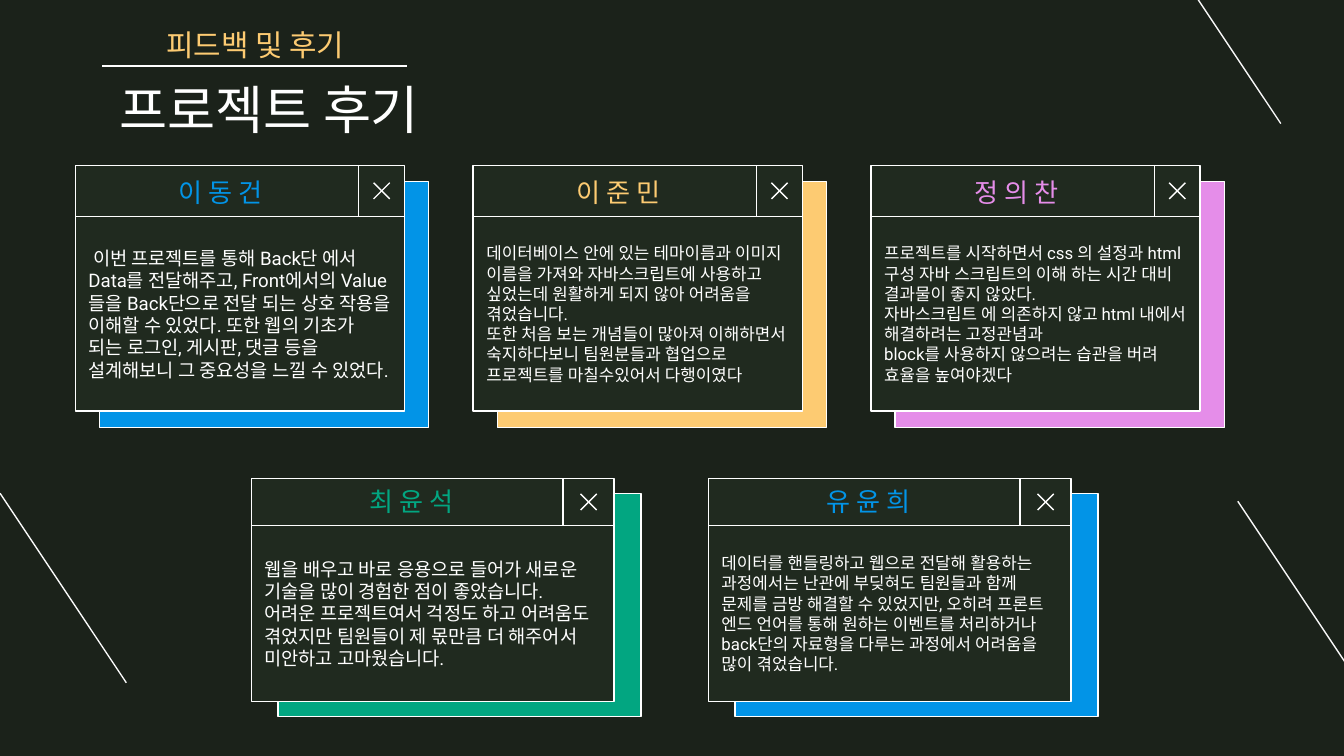
from dataclasses import dataclass

from lxml.etree import SubElement
from pptx import Presentation
from pptx.dml.color import RGBColor
from pptx.enum.lang import MSO_LANGUAGE_ID
from pptx.enum.shapes import MSO_CONNECTOR, MSO_SHAPE
from pptx.enum.text import MSO_ANCHOR, MSO_AUTO_SIZE, PP_ALIGN
from pptx.oxml.ns import qn
from pptx.util import Inches, Pt


@dataclass(frozen=True)
class Theme:
    background: str = "1B221A"
    panel: str = "202A1F"
    white: str = "FFFFFF"
    accent_line: str = "F9F9F9"
    blue: str = "0294E7"
    yellow: str = "FDCB72"
    pink: str = "E58DE9"
    green: str = "02A681"
    heading_font: str = "Cabin"
    body_font: str = "Roboto"
    title_size: float = 28
    section_size: float = 16
    name_size: float = 14
    large_body: float = 10
    small_body: float = 9
    line_width: float = 0.75


T = Theme()

# Content: name, colour, body size, paragraphs
SECTION = "피드백 및 후기"
TITLE = "프로젝트 후기"
TOP_REVIEWS = [
    ("이 동 건", T.blue, T.large_body, [
        " 이번 프로젝트를 통해 Back단 에서 Data를 전달해주고, Front에서의 Value들을 "
        "Back단으로 전달 되는 상호 작용을 이해할 수 있었다. 또한 웹의 기초가 되는 로그인, "
        "게시판, 댓글 등을 설계해보니 그 중요성을 느낄 수 있었다."]),
    ("이 준 민", T.yellow, T.small_body, [
        "데이터베이스 안에 있는 테마이름과 이미지 이름을 가져와 자바스크립트에 사용하고 "
        "싶었는데 원활하게 되지 않아 어려움을 겪었습니다.",
        "또한 처음 보는 개념들이 많아져 이해하면서 숙지하다보니 팀원분들과 협업으로 "
        "프로젝트를 마칠수있어서 다행이였다"]),
    ("정 의 찬", T.pink, T.small_body, [
        "프로젝트를 시작하면서 css 의 설정과 html 구성 자바 스크립트의 이해 하는 시간 "
        "대비 결과물이 좋지 않았다.",
        "자바스크립트 에 의존하지 않고 html 내에서 해결하려는 고정관념과",
        "block를 사용하지 않으려는 습관을 버려 효율을 높여야겠다"]),
]
BOTTOM_REVIEWS = [
    ("최 윤 석", T.green, T.large_body, [
        "웹을 배우고 바로 응용으로 들어가 새로운 기술을 많이 경험한 점이 좋았습니다.",
        "어려운 프로젝트여서 걱정도 하고 어려움도 겪었지만 팀원들이 제 몫만큼 더 "
        "해주어서 미안하고 고마웠습니다."]),
    ("유 윤 희", T.blue, T.small_body, [
        "데이터를 핸들링하고 웹으로 전달해 활용하는 과정에서는 난관에 부딪혀도 팀원들과 "
        "함께 문제를 금방 해결할 수 있었지만, 오히려 프론트 엔드 언어를 통해 원하는 "
        "이벤트를 처리하거나 back단의 자료형을 다루는 과정에서 어려움을 많이 겪었습니다."]),
]

# Card rows in inches; offset is how far the coloured backing sticks out
ROWS = [
    dict(reviews=TOP_REVIEWS, left=0.56, top=1.23, pitch=2.96, width=2.45, height=1.83,
         header=0.38, button=0.34, offset=(0.18, 0.12), name_top=1.29,
         name_width=2.27, body_width=2.45),
    dict(reviews=BOTTOM_REVIEWS, left=1.87, top=3.56, pitch=3.4, width=2.7, height=1.66,
         header=0.35, button=0.38, offset=(0.2, 0.11), name_top=3.59,
         name_width=2.49, body_width=2.66),
]
CROSS = 0.12
NAME_HEIGHT = 0.28
DIAGONAL = (0.94, 1.41)
DIAGONAL_STARTS = [(0, 3.67), (9.21, 3.73), (8.59, -0.49)]


def add_line(slide, x1, y1, x2, y2, color=T.white):
    line = slide.shapes.add_connector(
        MSO_CONNECTOR.STRAIGHT, Inches(x1), Inches(y1), Inches(x2), Inches(y2))
    line.line.color.rgb = RGBColor.from_string(color)
    line.line.width = Pt(T.line_width)
    SubElement(line._element.spPr, qn("a:effectLst"))


def add_panel(slide, x, y, w, h, fill):
    sp = slide.shapes.add_shape(
        MSO_SHAPE.RECTANGLE, Inches(x), Inches(y), Inches(w), Inches(h))
    sp.shadow.inherit = False
    sp.fill.solid()
    sp.fill.fore_color.rgb = RGBColor.from_string(fill)
    sp.line.color.rgb = RGBColor.from_string(T.white)
    sp.line.width = Pt(T.line_width)


def write_text(sp, paragraphs, font, size, color, align=PP_ALIGN.LEFT):
    tf = sp.text_frame
    tf.word_wrap = True
    tf.auto_size = MSO_AUTO_SIZE.NONE
    tf.vertical_anchor = MSO_ANCHOR.MIDDLE
    tf.margin_left = tf.margin_right = tf.margin_top = tf.margin_bottom = Inches(0.1)
    tf.text = "\n".join(paragraphs)
    for p in tf.paragraphs:
        p.alignment = align
        p.font.name = font
        p.font.size = Pt(size)
        p.font.color.rgb = RGBColor.from_string(color)
        p.font.language_id = MSO_LANGUAGE_ID.KOREAN
        # Korean letters and spaces use the same typeface
        defaults = p._p.pPr.find(qn("a:defRPr"))
        for script in ("a:ea", "a:cs"):
            SubElement(defaults, qn(script), typeface=font)


def add_text(slide, x, y, w, h, *text):
    sp = slide.shapes.add_textbox(Inches(x), Inches(y), Inches(w), Inches(h))
    write_text(sp, *text)


def add_card(slide, row, column, review):
    name, color, size, paragraphs = review
    x, y = row["left"] + column * row["pitch"], row["top"]
    w, h, header, button = row["width"], row["height"], row["header"], row["button"]
    dx, dy = row["offset"]

    # Window frame
    add_panel(slide, x + dx, y + dy, w, h, color)
    add_panel(slide, x, y, w, h, T.panel)
    add_line(slide, x, y + header, x + w, y + header)
    add_line(slide, x + w - button, y, x + w - button, y + header)

    # Close button
    cx, cy = x + w - button / 2, y + header / 2
    for side in (-CROSS / 2, CROSS / 2):
        add_line(slide, cx - side, cy - CROSS / 2, cx + side, cy + CROSS / 2)

    # Name and review
    add_text(slide, x - 0.05, row["name_top"], row["name_width"], NAME_HEIGHT,
             [name], T.heading_font, T.name_size, color, PP_ALIGN.CENTER)
    add_text(slide, x, y + header, row["body_width"], h - header,
             paragraphs, T.body_font, size, T.white)


def main():
    prs = Presentation()
    prs.slide_width, prs.slide_height = Inches(10), Inches(10) * 9 // 16
    slide = prs.slides.add_slide(prs.slide_layouts[5])
    slide.background.fill.solid()
    slide.background.fill.fore_color.rgb = RGBColor.from_string(T.background)

    # Heading
    title = slide.shapes.title
    title.left, title.top = Inches(0.79), Inches(0.49)
    title.width, title.height = Inches(8.43), Inches(0.63)
    write_text(title, [TITLE], T.heading_font, T.title_size, T.white)
    add_text(slide, 0.62, 0.19, 2.56, 0.28,
             [SECTION], T.heading_font, T.section_size, T.yellow, PP_ALIGN.CENTER)
    add_line(slide, 0.76, 0.49, 3.03, 0.49)

    # Review cards
    for row in ROWS:
        for column, review in enumerate(row["reviews"]):
            add_card(slide, row, column, review)

    # Diagonal accents
    for x, y in DIAGONAL_STARTS:
        add_line(slide, x, y, x + DIAGONAL[0], y + DIAGONAL[1], T.accent_line)

    prs.save("out.pptx")


if __name__ == "__main__":
    main()
